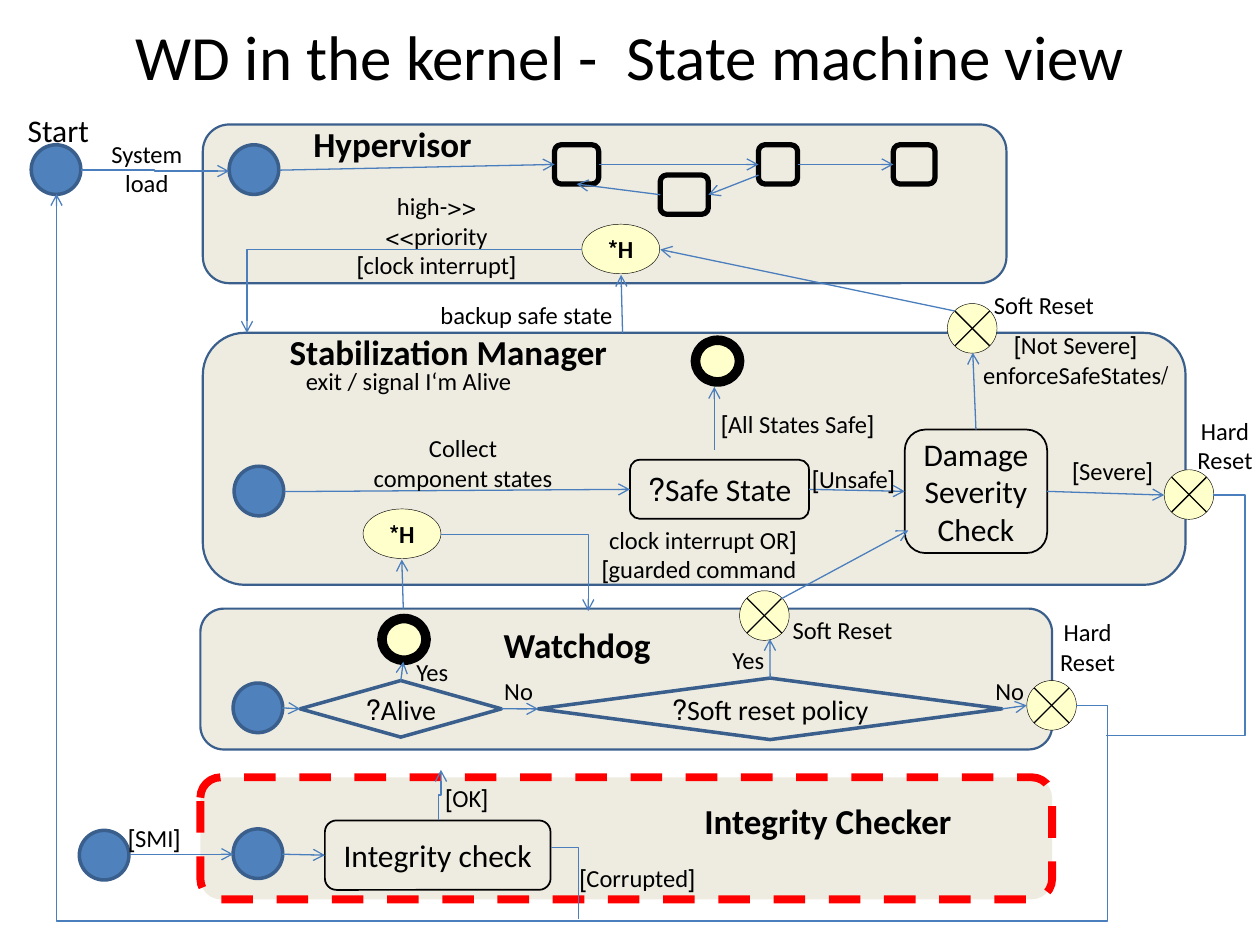
from dataclasses import dataclass
from typing import NamedTuple

import pptx
import pptx.dml.color
import pptx.enum.dml
import pptx.enum.shapes
import pptx.enum.text
import pptx.oxml
import pptx.oxml.ns
import pptx.util

Cm = pptx.util.Cm
MSO = pptx.enum.shapes.MSO_SHAPE
ALIGN = pptx.enum.text.PP_ALIGN
TOP, LEFT, BOTTOM, RIGHT = range(4)


@dataclass(frozen=True)
class Theme:
    font: str = "Calibri"
    ink: str = "000000"
    panel: str = "EEECE1"
    border: str = "3A5F8C"
    dot: str = "4F81BD"
    arrow: str = "4B7EBC"
    pale: str = "FFFFCC"
    alert: str = "FF0000"
    title: int = 36
    heading: int = 20
    state: int = 18
    decision: int = 16
    label: int = 14


class Side(NamedTuple):
    """Middle of one side of a shape, as the end of a connector."""
    shape: object
    site: int


def rgb(value):
    return pptx.dml.color.RGBColor.from_string(value)


def write_text(tf, text, *, size, font, color, bold=False, align=ALIGN.CENTER):
    """Fill a text frame, one right-to-left paragraph per line of text."""
    for i, line in enumerate(text.split("\n")):
        p = tf.paragraphs[0] if i == 0 else tf.add_paragraph()
        p.alignment = align
        p._p.get_or_add_pPr().set("rtl", "1")
        r = p.add_run()
        r.text = line
        r.font.size, r.font.name, r.font.bold = pptx.util.Pt(size), font, bold
        r.font.color.rgb = rgb(color)


class Diagram:
    def __init__(self, s, theme):
        self.s, self.theme = s, theme

    def stroke(self, sp, color, width, arrow=False):
        sp.line.color.rgb = rgb(color)
        sp.line.width = pptx.util.Pt(width)
        if arrow:
            ln = sp.line._get_or_add_ln()
            ln.append(pptx.oxml.parse_xml(
                f'<a:tailEnd {pptx.oxml.ns.nsdecls("a")} type="arrow"/>'))

    def shape(self, kind, box, color, width, fill=None, text="", size=None, bold=False):
        sp = self.s.shapes.add_shape(kind, *map(Cm, box))
        sp.shadow.inherit = False
        if fill:
            sp.fill.solid()
            sp.fill.fore_color.rgb = rgb(fill)
        else:
            sp.fill.background()
        self.stroke(sp, color, width)
        if text:
            tf = sp.text_frame
            tf.margin_left = tf.margin_right = tf.margin_top = tf.margin_bottom = 0
            tf.vertical_anchor = pptx.enum.text.MSO_ANCHOR.MIDDLE
            write_text(tf, text, size=size, font=self.theme.font,
                       color=self.theme.ink, bold=bold)
        return sp

    def panel(self, *box):
        return self.shape(MSO.FLOWCHART_ALTERNATE_PROCESS, box, self.theme.border,
                          1.25, self.theme.panel)

    def state(self, *box, text="", width=1.0):
        return self.shape(MSO.FLOWCHART_ALTERNATE_PROCESS, box, self.theme.ink, width,
                          text=text, size=self.theme.state)

    def decision(self, *box, text):
        return self.shape(MSO.FLOWCHART_DECISION, box, self.theme.border, 2,
                          text=text, size=self.theme.decision)

    def entry(self, x, y):
        self.shape(MSO.FLOWCHART_CONNECTOR, (x, y, 1, 1), self.theme.border, 2,
                   self.theme.dot)

    def final(self, x, y):
        self.shape(MSO.FLOWCHART_CONNECTOR, (x, y, 0.89, 0.84), self.theme.ink, 5.5,
                   self.theme.pale)

    def history(self, x, y):
        self.shape(MSO.FLOWCHART_CONNECTOR, (x, y, 1.57, 1), self.theme.ink, 0.25,
                   self.theme.pale, "H*", self.theme.label, True)

    def exit_point(self, x, y):
        """Circle with a diagonal cross."""
        self.shape(MSO.FLOWCHART_CONNECTOR, (x, y, 1, 1), self.theme.ink, 0.25,
                   self.theme.pale)
        near, far = 0.15, 0.85
        for y1, y2 in ((near, far), (far, near)):
            self.line((x + near, y + y1), (x + far, y + y2), self.theme.ink, False)

    def line(self, begin, end, color=None, arrow=True):
        points = [(0, 0) if isinstance(e, Side) else e for e in (begin, end)]
        c = self.s.shapes.add_connector(pptx.enum.shapes.MSO_CONNECTOR.STRAIGHT,
                                        *(Cm(v) for point in points for v in point))
        if isinstance(begin, Side):
            c.begin_connect(*begin)
        if isinstance(end, Side):
            c.end_connect(*end)
        self.stroke(c, color or self.theme.arrow, 0.75, arrow)
        c._element.spPr.append(pptx.oxml.parse_xml(
            f'<a:effectLst {pptx.oxml.ns.nsdecls("a")}/>'))

    def route(self, *points, arrow=True):
        """Right-angled path through the given points."""
        start, *rest = [(Cm(x), Cm(y)) for x, y in points]
        builder = self.s.shapes.build_freeform(*start)
        builder.add_line_segments(rest, close=False)
        sp = builder.convert_to_shape()
        sp.shadow.inherit = False
        sp.fill.background()
        self.stroke(sp, self.theme.arrow, 0.75, arrow)

    def text(self, x, y, w, text, size=None, height=None, wrap=False, margins=None, **fmt):
        size = size or self.theme.label
        lines = text.count("\n") + 1
        height = height or round(lines * size * 1.2 / 72 * 2.54 + 0.25, 2)
        tf = self.s.shapes.add_textbox(Cm(x), Cm(y), Cm(w), Cm(height)).text_frame
        tf.word_wrap = wrap
        if margins:
            tf.margin_left, tf.margin_right = map(Cm, margins)
        write_text(tf, text, size=size, font=self.theme.font, color=self.theme.ink, **fmt)
        return tf


def main():
    prs = pptx.Presentation()
    prs.slide_width, prs.slide_height = Cm(25.4), Cm(19.05)
    t = Theme()
    d = Diagram(prs.slides.add_slide(prs.slide_layouts[6]), t)

    title = d.text(1.27, -0.48, 22.86, "WD in the kernel -  State machine view",
                   t.title, height=3.18, wrap=True)
    title.vertical_anchor = pptx.enum.text.MSO_ANCHOR.MIDDLE

    integrity = d.panel(4.04, 15.67, 17.17, 2.46)
    d.stroke(integrity, t.alert, 4.5)
    integrity.line.dash_style = pptx.enum.dml.MSO_LINE.DASH
    d.panel(4.04, 12.27, 17.17, 2.84)  # watchdog
    d.panel(4.09, 2.51, 16.2, 3.2)  # hypervisor
    d.panel(4.09, 6.71, 19.81, 5.08)  # stabilization manager

    first, lower, last, middle = [
        d.state(x, y, w, 0.79, width=3) for x, y, w in
        ((11.18, 2.92, 0.89), (13.31, 3.53, 0.97), (18.01, 2.92, 0.84), (15.29, 2.92, 0.79))]
    safe = d.state(12.7, 9.27, 3.61, 1.19, text="Safe State?")
    damage = d.state(18.24, 8.66, 2.87, 2.49, text="Damage Severity\nCheck")
    check = d.state(6.55, 16.54, 4.55, 1.4, text="Integrity check")
    alive = d.decision(6.05, 13.72, 4.06, 1.14, text="Alive?")
    policy = d.decision(10.85, 13.67, 9.35, 1.24, text="Soft reset policy?")

    for x, y in ((0.63, 2.92), (4.62, 2.92), (4.72, 9.4), (4.7, 13.77),
                 (4.7, 16.71), (1.6, 16.74)):
        d.entry(x, y)
    for x, y in ((23.47, 9.47), (19.1, 6.12), (20.7, 13.72), (14.91, 11.91)):
        d.exit_point(x, y)
    for x, y in ((14.02, 6.86), (7.7, 12.47)):
        d.final(x, y)
    for x, y in ((11.73, 4.52), (7.32, 10.26)):
        d.history(x, y)

    for begin, end in (
            ((5.64, 3.43), Side(first, LEFT)),
            (Side(first, RIGHT), Side(middle, LEFT)),
            (Side(middle, RIGHT), Side(last, LEFT)),
            ((15.29, 3.53), Side(lower, RIGHT)),
            (Side(lower, LEFT), Side(first, BOTTOM)),
            ((5.74, 9.91), Side(safe, LEFT)),
            ((14.4, 9.07), (14.4, 7.8)),
            (Side(safe, RIGHT), Side(damage, LEFT)),
            (Side(damage, TOP), (19.61, 7.11)),
            (Side(damage, RIGHT), (23.47, 9.98)),
            ((19.25, 6.27), (13.31, 5.03)),
            ((12.55, 6.71), (12.52, 5.54)),
            ((15.75, 12.07), (18.31, 10.69)),
            ((5.69, 14.27), Side(alive, LEFT)),
            (Side(alive, TOP), (8.13, 13.34)),
            (Side(alive, RIGHT), Side(policy, LEFT)),
            (Side(policy, TOP), (15.52, 12.88)),
            (Side(policy, RIGHT), (20.7, 14.22)),
            ((8.13, 12.27), (8.1, 11.28)),
            ((2.62, 17.22), (4.7, 17.22)),
            ((5.69, 17.22), Side(check, LEFT))):
        d.line(begin, end)

    d.route((1.63, 3.43), (3.12, 3.43), (3.12, 3.45), (4.62, 3.45))
    d.route((11.73, 5.03), (4.98, 5.03), (4.98, 6.71))
    d.route((8.89, 10.77), (11.86, 10.77), (11.86, 12.32))
    d.route((24.46, 9.98), (25.1, 9.98), (25.1, 14.83), (22.3, 14.83), arrow=False)
    d.route((21.69, 14.22), (22.33, 14.22), (22.33, 18.57), (1.14, 18.57), (1.14, 3.91))
    d.route((8.84, 16.54), (8.84, 16.03), (8.89, 16.03), (8.89, 15.52))
    d.route((11.1, 17.09), (11.66, 17.09), (11.66, 18.52), arrow=False)

    for x, y, w, name in ((6.05, 2.34, 3.73, "Hypervisor"),
                          (5.56, 6.53, 6.96, "Stabilization Manager"),
                          (9.88, 12.45, 3.51, "Watchdog"),
                          (13.92, 16, 5.54, "Integrity Checker")):
        d.text(x, y, w, name, t.heading, bold=True)
    d.text(0.3, 2.11, 1.75, "Start", t.state)
    for x, y, w, label in (
            (1.93, 2.67, 2.06, "System\nload"),
            (14.25, 8.13, 3.66, "[All States Safe]"),
            (6.58, 8.61, 5.51, "Collect\ncomponent states"),
            (16.1, 9.22, 2.21, "[Unsafe]"),
            (21.34, 9.07, 2.18, "[Severe]"),
            (19.46, 6.53, 4.45, "[Not Severe]\n/enforceSafeStates"),
            (5.89, 7.26, 4.7, "exit / signal I‘m Alive"),
            (8.13, 13.13, 1.17, "Yes"), (14.5, 12.88, 1.17, "Yes"),
            (9.91, 13.51, 1.09, "No"), (19.81, 13.51, 1.09, "No"),
            (8.53, 5.92, 4.17, "backup safe state"),
            (19.76, 5.72, 2.57, "Soft Reset"), (15.7, 12.27, 2.57, "Soft Reset"),
            (23.88, 8.26, 1.63, "Hard\nReset"), (21.11, 12.32, 1.63, "Hard\nReset"),
            (8.71, 15.67, 1.4, "[OK]"),
            (11.4, 17.27, 2.9, "[Corrupted]"),
            (2.31, 16.46, 1.6, "[SMI]")):
        d.text(x, y, w, label)
    d.text(6.78, 3.73, 4.04, "<<high-priority>>\n[clock interrupt]", wrap=True,
           margins=(0.36, 0.36))
    d.text(11.86, 10.46, 7.65, "[clock interrupt OR\nguarded command]", wrap=True,
           margins=(0.25, 3.45), align=ALIGN.RIGHT)

    prs.save("out.pptx")


if __name__ == "__main__":
    main()
